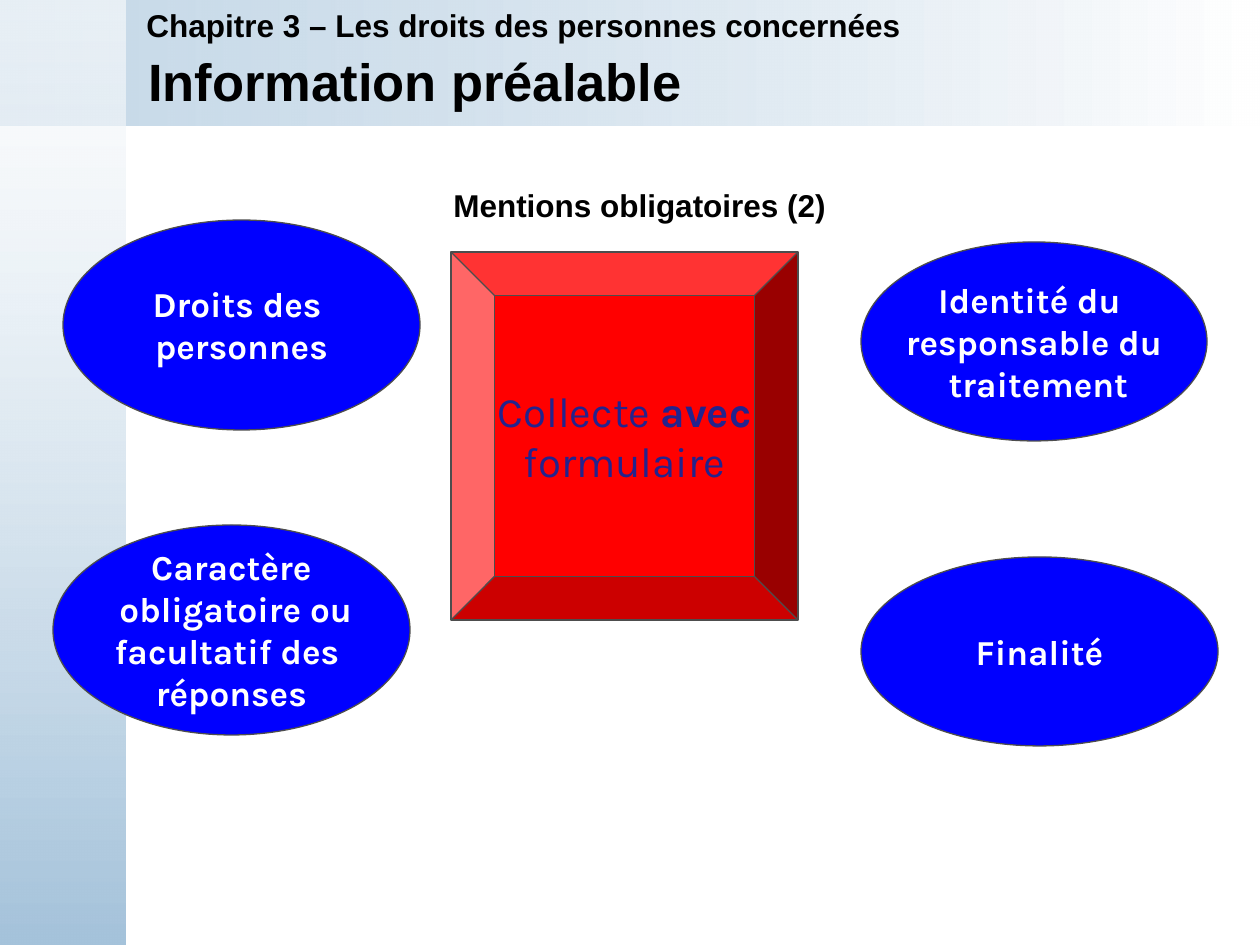
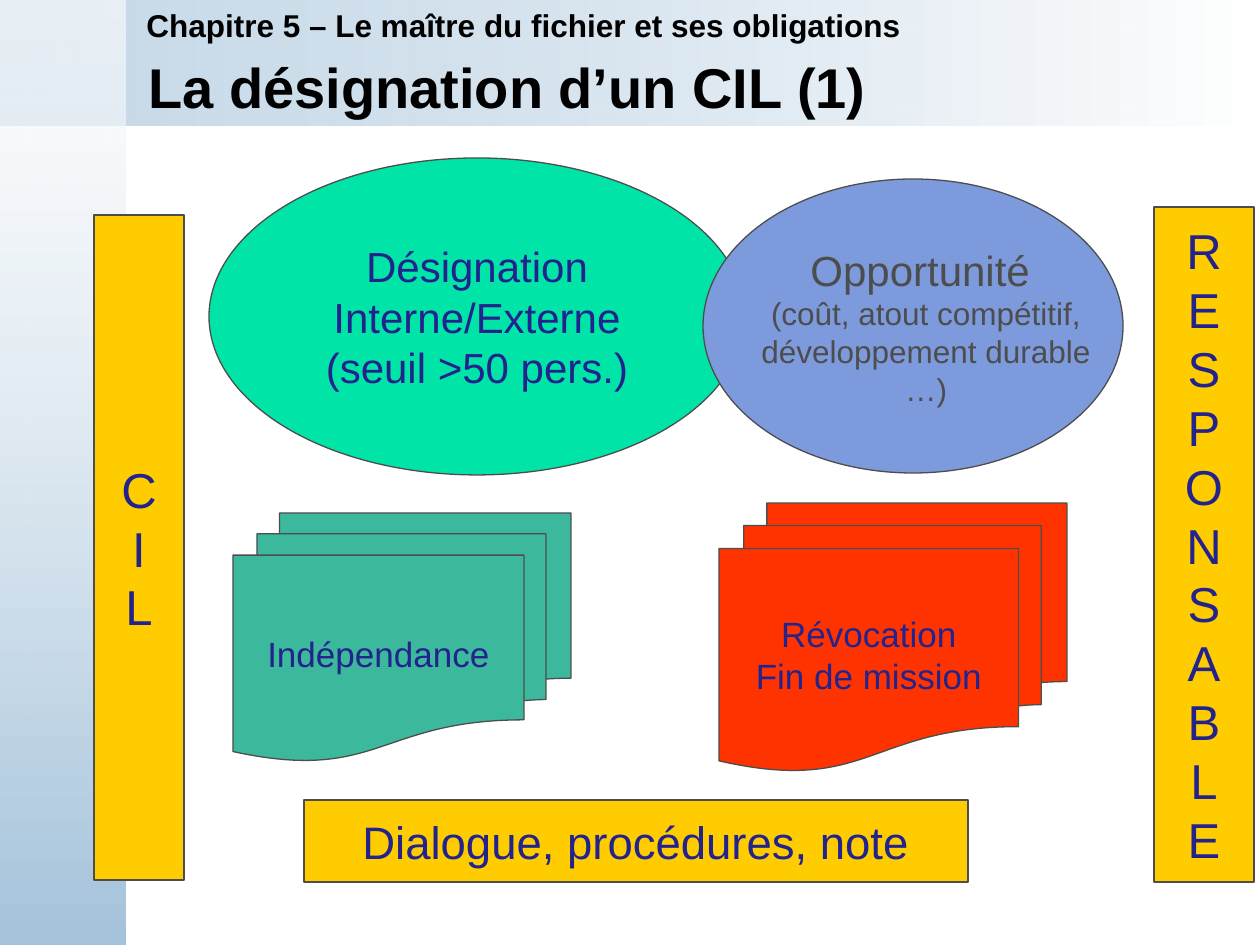
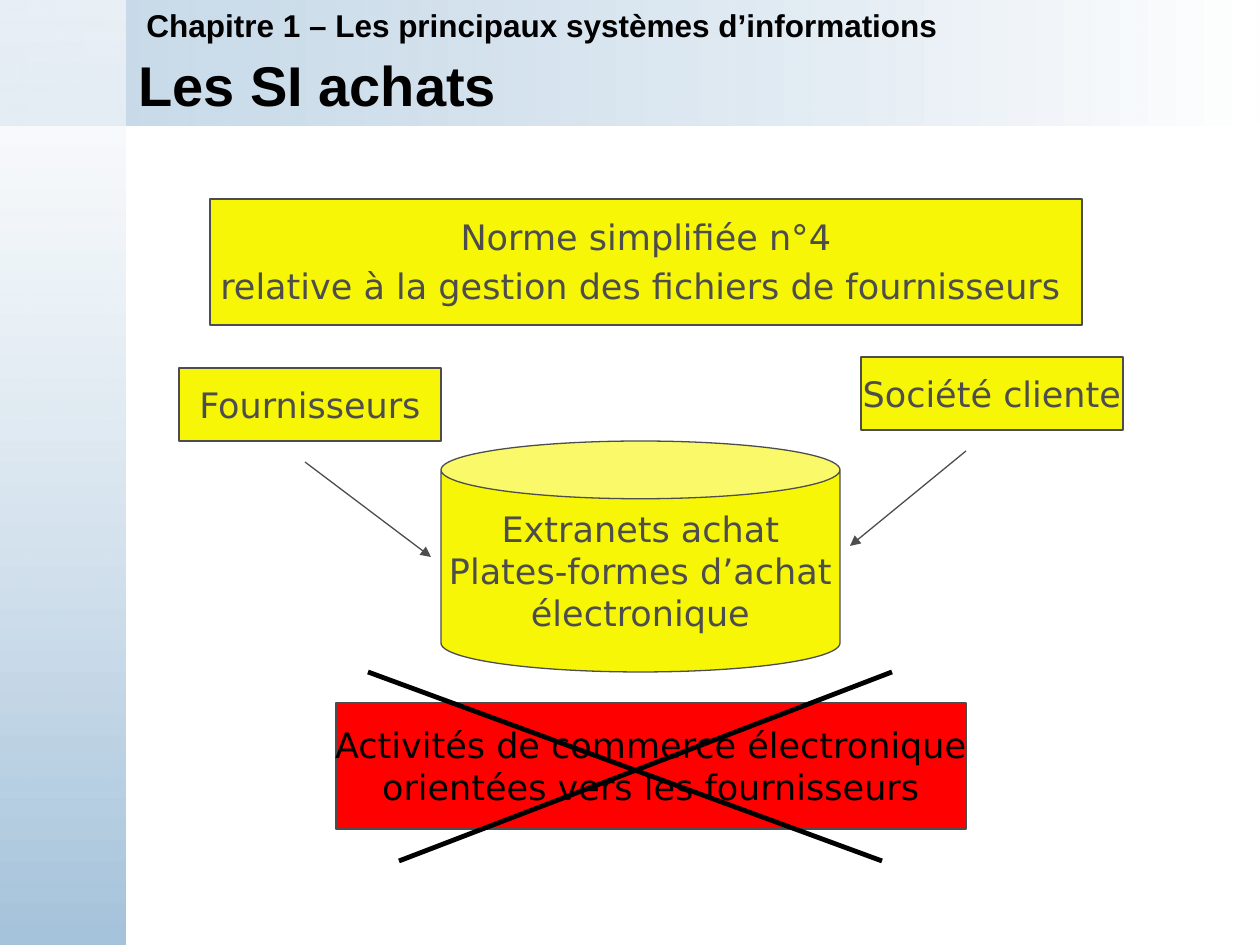
from lxml.etree import SubElement
from pptx import Presentation
from pptx.dml.color import RGBColor
from pptx.enum.shapes import MSO_CONNECTOR, MSO_SHAPE
from pptx.enum.text import MSO_ANCHOR, PP_ALIGN
from pptx.oxml.ns import qn
from pptx.util import Emu, Pt

EMU_PER_PX = 914400 / 126
COLORS = {
    "band": "A5C3DB", "white": "FFFFFF", "black": "000000", "outline": "4D4D4D",
    "navy": "23238D", "blue": "0000FF", "red": "FF0000", "mint": "00E4A8",
    "periwinkle": "7C9ADC", "amber": "FFCC00", "teal": "3CB89D",
    "vermilion": "FF3300", "yellow": "F6F606",
}


def px(length):
    return Emu(round(length * EMU_PER_PX))


def rgb(name):
    return RGBColor.from_string(COLORS[name])


class Deck:
    """Shared style of the course slides and the slide being built."""

    def __init__(self):
        self.prs = Presentation()
        self.prs.slide_width, self.prs.slide_height = px(1260), px(945)
        self.slide = None

    def start(self, chapter, title, title_box, title_size):
        self.slide = self.prs.slides.add_slide(self.prs.slide_layouts[6])
        self.band((0, 0, 1260, 126), 0, [("band", 62), ("white", 100)])
        self.band((0, 0, 126, 945), 270, [("white", 59), ("band", 100)])
        self.label((134, 0, 1126, 50), chapter, 18, MSO_ANCHOR.TOP)
        self.label(title_box, title, title_size)

    def band(self, box, angle, stops):
        band = self.preset(MSO_SHAPE.RECTANGLE, box)
        band.line.fill.background()
        band.fill.gradient()
        band.fill.gradient_angle = angle
        for stop, (color, _) in zip(band.fill.gradient_stops, stops):
            stop.color.rgb = rgb(color)
        tints = band._element.spPr.iter(qn("a:srgbClr"))
        for tint, (_, opacity) in zip(list(tints), stops):
            SubElement(tint, qn("a:alpha")).set("val", str(opacity * 1000))

    def preset(self, kind, box):
        shape = self.slide.shapes.add_shape(kind, *map(px, box))
        shape.shadow.inherit = False
        return shape

    def label(self, box, text, size, anchor=MSO_ANCHOR.MIDDLE):
        frame = self.slide.shapes.add_textbox(*map(px, box)).text_frame
        frame.word_wrap = True
        frame.vertical_anchor = anchor
        self.run(frame.paragraphs[0], text, size, "Arial", "black", True)

    def block(self, kind, box, fill, lines, size, font="Arial", color="navy",
              bold=False, margin=0):
        """Draw an outlined shape; a line is a text or a list of (text, changes)."""
        shape = self.preset(kind, box)
        shape.fill.solid()
        shape.fill.fore_color.rgb = rgb(fill)
        shape.line.color.rgb = rgb("outline")
        shape.line.width = Pt(0.75)
        frame = shape.text_frame
        frame.word_wrap = False
        frame.vertical_anchor = MSO_ANCHOR.MIDDLE
        style = {"size": size, "font": font, "color": color, "bold": bold}
        for number, line in enumerate(lines):
            paragraph = frame.add_paragraph() if number else frame.paragraphs[0]
            paragraph.alignment = PP_ALIGN.CENTER
            if margin:
                properties = paragraph._p.get_or_add_pPr()
                properties.set("marL", str(px(margin)))
                properties.set("indent", "0")
            for text, changes in [(line, {})] if isinstance(line, str) else line:
                self.run(paragraph, text, **{**style, **changes})

    def run(self, paragraph, text, size, font, color, bold):
        run = paragraph.add_run()
        run.text = text
        run.font.size = Pt(size)
        run.font.name = font
        run.font.bold = bold
        run.font.color.rgb = rgb(color)

    def line(self, start, end, color, width, arrow=False):
        connector = self.slide.shapes.add_connector(
            MSO_CONNECTOR.STRAIGHT, *map(px, start + end))
        connector.line.color.rgb = rgb(color)
        connector.line.width = Pt(width)
        properties = connector._element.spPr
        if arrow:
            SubElement(properties.find(qn("a:ln")), qn("a:tailEnd")).set("type", "triangle")
        SubElement(properties, qn("a:effectLst"))


def prior_information(deck):
    deck.start("Chapitre 3 – Les droits des personnes concernées",
               "Information préalable", (136, 45, 945, 72), 30)
    mentions = [
        ((861, 242, 346, 199), ["Identité du ", "responsable du", " traitement"]),
        ((861, 557, 357, 189), ["Finalité"]),
        ((53, 525, 357, 210),
         ["Caractère", " obligatoire ou", "facultatif des ", "réponses"]),
        ((63, 220, 357, 210), ["Droits des ", "personnes"]),
    ]
    for box, lines in mentions:
        deck.block(MSO_SHAPE.OVAL, box, "blue", lines, 20, "Karla", "white", True)
    deck.block(MSO_SHAPE.BEVEL, (451, 252, 347, 368), "red",
               [[("Collecte ", {}), ("avec", {"bold": True})], "formulaire"],
               24, "Karla")
    deck.label((441, 168, 441, 73), "Mentions obligatoires (2)", 18)


def officer_appointment(deck):
    deck.start("Chapitre 5 – Le maître du fichier et ses obligations",
               "La désignation d’un CIL (1)", (136, 55, 1071, 62), 32)
    deck.block(MSO_SHAPE.OVAL, (209, 158, 536, 317), "mint",
               ["Désignation", "Interne/Externe", "(seuil >50 pers.)"], 24)
    details = ["(coût, atout compétitif,", "développement durable", "…)"]
    deck.block(MSO_SHAPE.OVAL, (703, 179, 420, 294), "periwinkle",
               [[("Opportunité ", {"size": 24})], *details],
               18, color="outline", margin=26)
    for box, word in [((94, 215, 90, 665), "CIL"),
                      ((1154, 207, 100, 675), "RESPONSABLE")]:
        deck.block(MSO_SHAPE.RECTANGLE, box, "amber", list(word), 28)
    for box, fill, lines in [
        ((233, 513, 338, 248), "teal", ["Indépendance"]),
        ((719, 503, 348, 268), "vermilion", ["Révocation", "Fin de mission"]),
    ]:
        deck.block(MSO_SHAPE.FLOWCHART_MULTIDOCUMENT, box, fill, lines, 20)
    deck.block(MSO_SHAPE.RECTANGLE, (304, 800, 664, 82), "amber",
               ["Dialogue, procédures, note"], 26)


def purchasing_systems(deck):
    deck.start("Chapitre 1 – Les principaux systèmes d’informations",
               "Les SI achats", (126, 53, 1134, 62), 32)
    standard = [("relative à la gestion des fichiers de fournisseurs", {}),
                (" ", {"size": 24, "font": "Times New Roman"})]
    for kind, box, lines in [
        (MSO_SHAPE.CAN, (441, 441, 399, 231),
         ["Extranets achat", "Plates-formes d’achat", "électronique"]),
        (MSO_SHAPE.RECTANGLE, (179, 368, 262, 73), ["Fournisseurs"]),
        (MSO_SHAPE.RECTANGLE, (861, 357, 262, 73), ["Société cliente"]),
        (MSO_SHAPE.RECTANGLE, (210, 199, 872, 126),
         ["Norme simplifiée n°4", standard]),
    ]:
        deck.block(kind, box, "yellow", lines, 20, "DejaVu Sans", "outline")
    for start, end in [((305, 462), (431, 557)), ((966, 451), (850, 546))]:
        deck.line(start, end, "outline", 0.75, arrow=True)
    deck.block(MSO_SHAPE.RECTANGLE, (336, 703, 630, 126), "red",
               ["Activités de commerce électronique",
                "orientées vers les fournisseurs"], 20, "DejaVu Sans", "black")
    for start, end in [((368, 672), (882, 861)), ((399, 861), (892, 672))]:
        deck.line(start, end, "black", 2.75)


def main():
    deck = Deck()
    prior_information(deck)
    officer_appointment(deck)
    purchasing_systems(deck)
    deck.prs.save("out.pptx")


if __name__ == "__main__":
    main()
